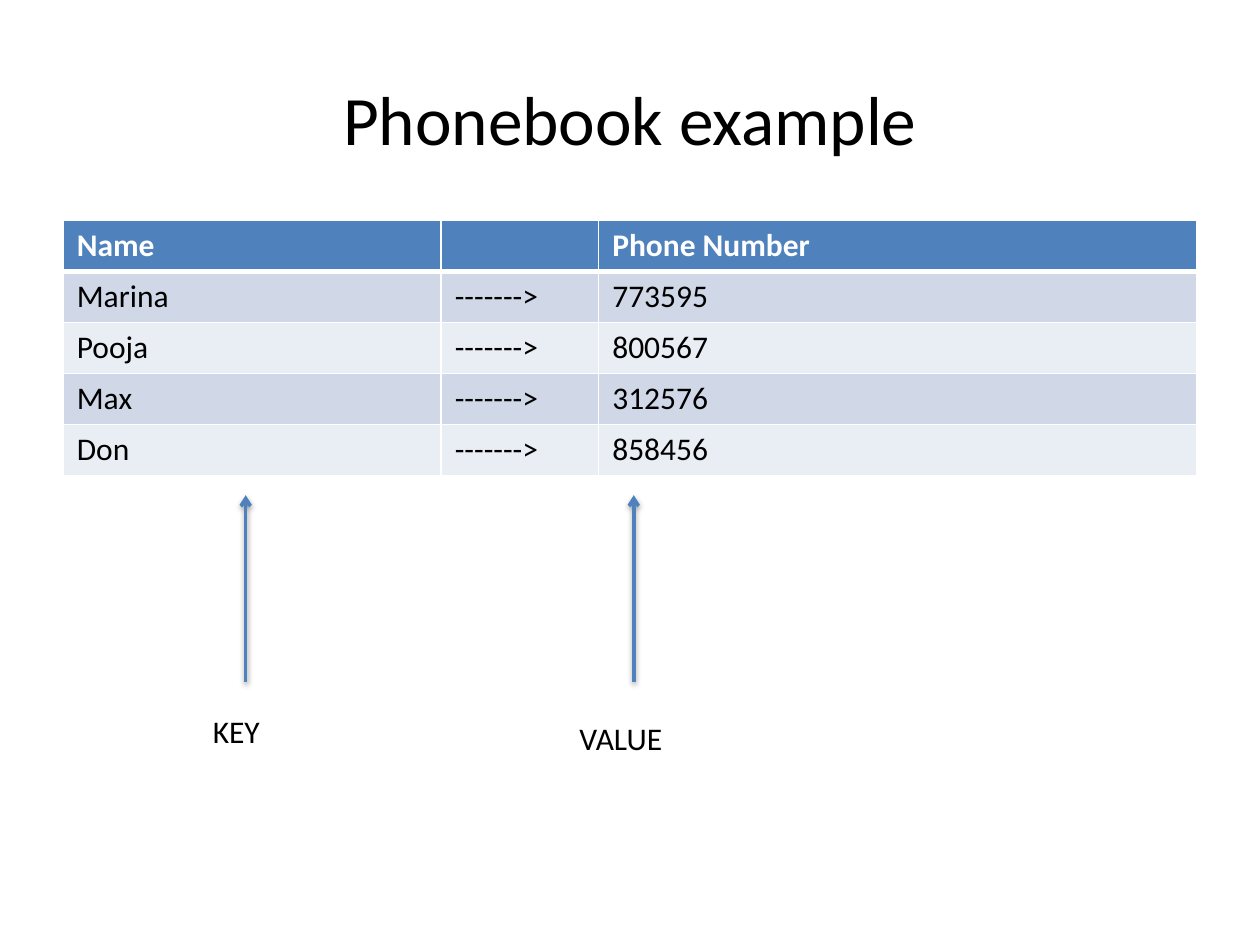
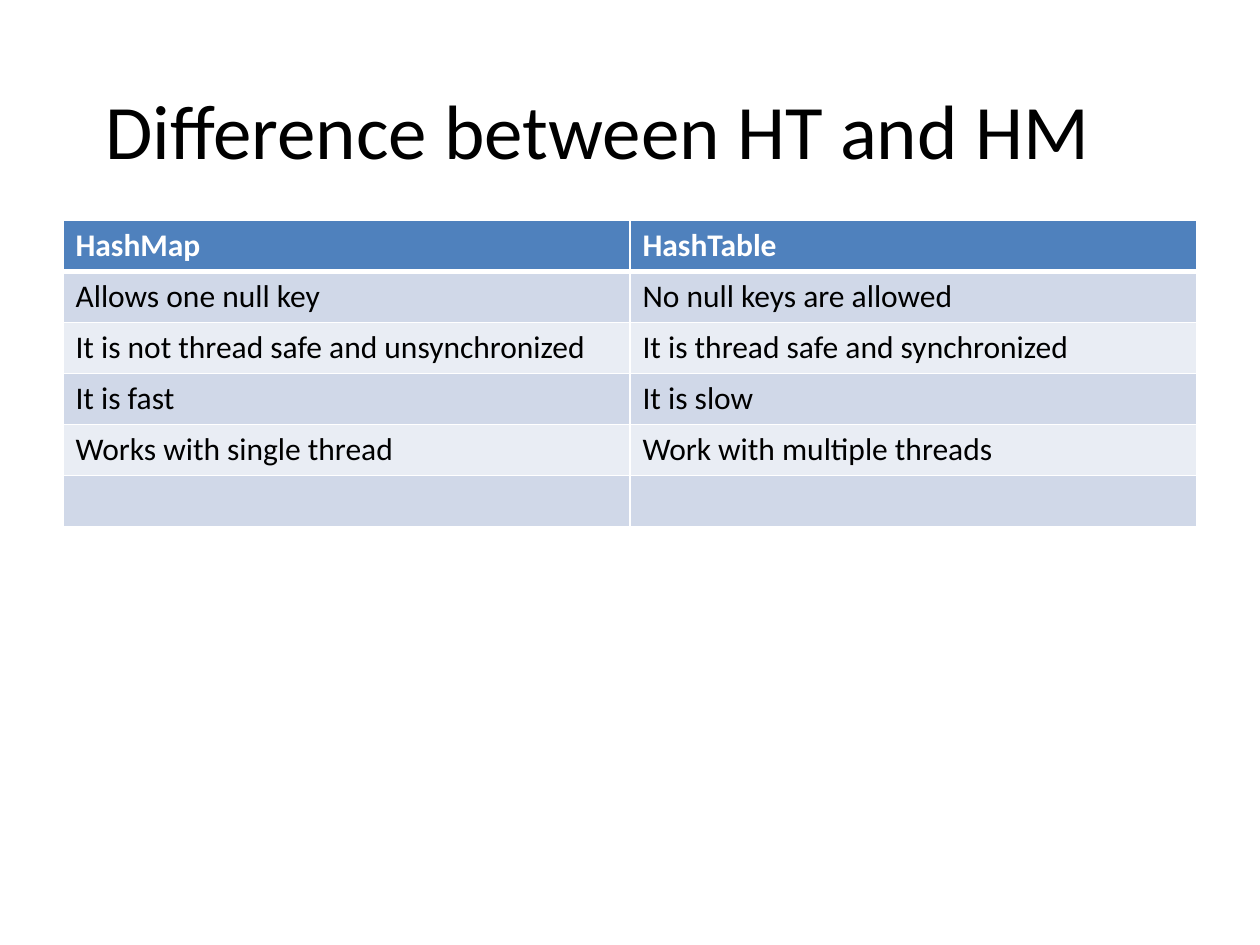
from dataclasses import dataclass
from lxml.etree import SubElement
from pptx import Presentation
from pptx.dml.color import RGBColor
from pptx.enum.shapes import MSO_CONNECTOR
from pptx.enum.text import MSO_ANCHOR, PP_ALIGN
from pptx.oxml import parse_xml
from pptx.oxml.ns import nsdecls, qn
from pptx.util import Inches, Pt


@dataclass
class Theme:
    font: str = "Calibri"
    body: float = 18
    ink: str = "000000"
    white: str = "FFFFFF"
    blue: str = "4F81BD"
    bands: tuple = ("E9EDF4", "D0D8E8")
    thin: float = 1
    thick: float = 3


theme = Theme()


def put_text(slide, text, box, size, align=PP_ALIGN.LEFT, anchor=MSO_ANCHOR.TOP):
    frame = slide.shapes.add_textbox(*map(Inches, box)).text_frame
    frame.word_wrap = True
    frame.vertical_anchor = anchor
    para = frame.paragraphs[0]
    para.text = text
    para.alignment = align
    para.font.name = theme.font
    para.font.size = Pt(size)
    para.font.color.rgb = RGBColor.from_string(theme.ink)


def put_table(slide, rows, widths, inset):
    frame = slide.shapes.add_table(
        len(rows), len(widths), Inches(0.5), Inches(1.75),
        Inches(sum(widths)), Inches(0.405 * len(rows)))
    table = frame.table
    for col, width in zip(table.columns, widths):
        col.width = Inches(width)
    for r, row in enumerate(rows):
        for c, text in enumerate(row):
            cell = table.cell(r, c)
            cell.margin_left = cell.margin_right = Inches(inset)
            props = cell._tc.get_or_add_tcPr()
            for side in "LRTB":
                heavy = (r, side) in ((0, "B"), (1, "T"))
                width = theme.thick if heavy else theme.thin
                edge = SubElement(props, qn(f"a:ln{side}"), w=str(Pt(width)))
                fill = SubElement(edge, qn("a:solidFill"))
                SubElement(fill, qn("a:srgbClr"), val=theme.white)
            cell.fill.solid()
            color = theme.bands[r % 2] if r else theme.blue
            cell.fill.fore_color.rgb = RGBColor.from_string(color)
            para = cell.text_frame.paragraphs[0]
            para.text = text
            para.font.name = theme.font
            para.font.size = Pt(theme.body)
            para.font.bold = r == 0
            para.font.color.rgb = RGBColor.from_string(theme.ink if r else theme.white)


deck = Presentation()
deck.slide_width, deck.slide_height = Inches(10), Inches(7.5)
blank = deck.slide_layouts[6]

slide = deck.slides.add_slide(blank)
put_text(slide, "Phonebook example", (1, 0.55, 8, 0.77), 39.6,
         PP_ALIGN.CENTER, MSO_ANCHOR.MIDDLE)
phones = {"Marina": "773595", "Pooja": "800567", "Max": "312576", "Don": "858456"}
rows = [("Name", "", "Phone Number")]
rows += [(name, "------->", phone) for name, phone in phones.items()]
put_table(slide, rows, (3, 1.25, 4.75), 0.11)

for label, x, left, top in (("VALUE", 5.03, 4.5, 5.66), ("KEY", 1.95, 1.59, 5.6)):
    arrow = slide.shapes.add_connector(
        MSO_CONNECTOR.STRAIGHT, Inches(x), Inches(5.41), Inches(x), Inches(3.93))
    arrow.line.color.rgb = RGBColor.from_string(theme.blue)
    arrow.line.width = Pt(2)
    SubElement(arrow.line._get_or_add_ln(), qn("a:tailEnd"), type="arrow")
    arrow._element.spPr.append(parse_xml(
        f'<a:effectLst {nsdecls("a")}>'
        '<a:outerShdw blurRad="40000" dist="20000" dir="5400000" rotWithShape="0">'
        f'<a:srgbClr val="{theme.ink}"><a:alpha val="38000"/></a:srgbClr>'
        '</a:outerShdw></a:effectLst>'))
    put_text(slide, label, (left, top, 1.08, 0.4), theme.body)

slide = deck.slides.add_slide(blank)
put_text(slide, "Difference between HT and HM", (0.49, 0.55, 8.51, 0.95), 44,
         PP_ALIGN.CENTER, MSO_ANCHOR.MIDDLE)
rows = [
    ("HashMap", "HashTable"),
    ("Allows one null key", "No null keys are allowed"),
    ("It is not thread safe and unsynchronized", "It is thread safe and synchronized"),
    ("It is fast", "It is slow"),
    ("Works with single thread", "Work with multiple threads"),
    ("", ""),
]
put_table(slide, rows, (4.5, 4.5), 0.1)

deck.save("out.pptx")
